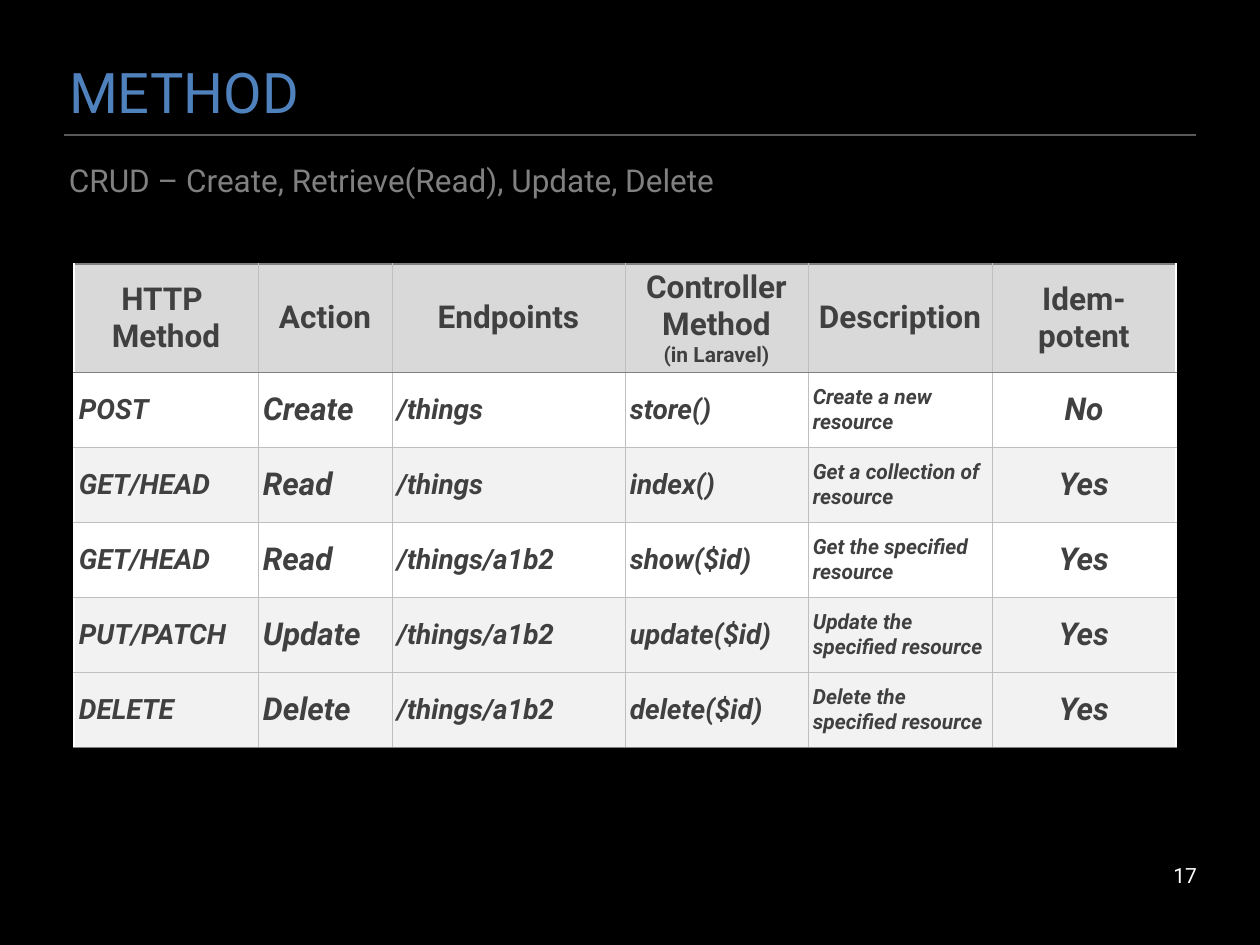
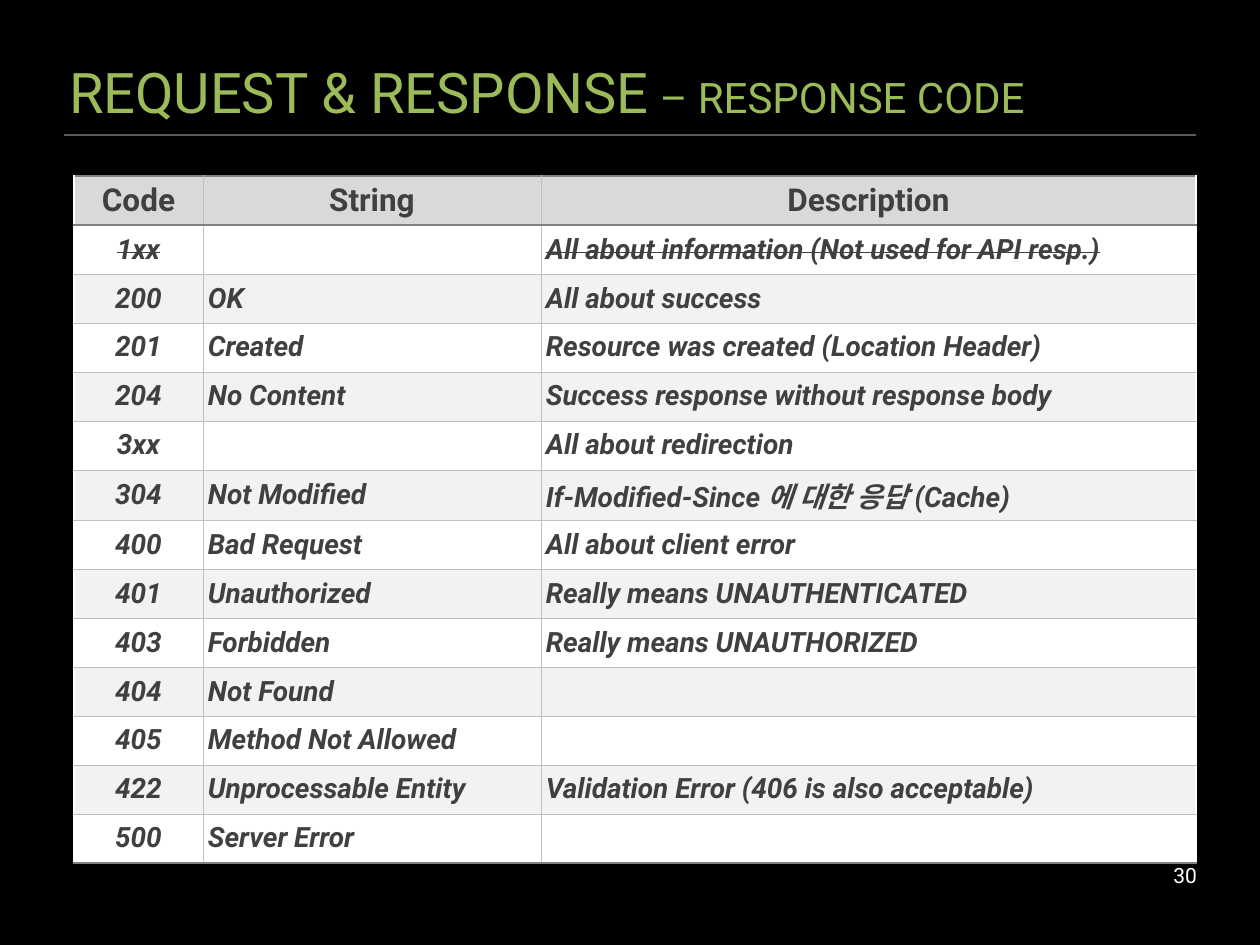
"""Build two slides about HTTP methods and response codes."""
from dataclasses import dataclass
from typing import Any, Collection, Optional, Sequence

from lxml import etree
from pptx import Presentation
from pptx import util as u
from pptx.dml.color import RGBColor
from pptx.enum import shapes, text
from pptx.oxml import ns

SCALE = u.Inches(1) / 126
LEFT, CENTER, RIGHT = text.PP_ALIGN.LEFT, text.PP_ALIGN.CENTER, text.PP_ALIGN.RIGHT


@dataclass(frozen=True)
class Theme:
    """Colours and type sizes shared by the slides."""

    font: str = "Roboto"
    background: str = "000000"
    blue: str = "4F81BD"
    green: str = "9BBB59"
    subtitle: str = "808080"
    rule: str = "595959"
    number: str = "FFFFFF"
    cell_text: str = "404040"
    header_fill: str = "D9D9D9"
    plain_fill: str = "FFFFFF"
    shaded_fill: str = "F2F2F2"
    grid: str = "BFBFBF"
    frame: str = "808080"
    side: str = "FFFFFF"
    title_size: int = 32
    title_detail_size: int = 24
    large: int = 18
    medium: int = 16
    small: int = 12


THEME = Theme()


@dataclass(frozen=True)
class Box:
    """A rectangle in pixels."""

    left: int
    top: int
    width: int
    height: int

    def emu(self) -> tuple[int, ...]:
        """Return the rectangle in EMU."""
        return tuple(map(px, (self.left, self.top, self.width, self.height)))


@dataclass(frozen=True)
class Column:
    """One table column: its heading, width and body format."""

    heading: str
    width: int
    size: int = THEME.medium
    align: Any = LEFT
    note: str = ""


@dataclass(frozen=True)
class TableData:
    """A table with its place, columns, rows and row accents."""

    left: int
    top: int
    header_height: int
    row_height: int
    columns: Sequence[Column]
    rows: Sequence[Sequence[str]]
    shaded: Collection[int]
    struck: Collection[int] = ()


TITLE_BOX = Box(63, 38, 1134, 107)
SUBTITLE_BOX = Box(63, 155, 1134, 82)
NUMBER_BOX = Box(903, 858, 294, 35)
RULE_LEFT, RULE_RIGHT, RULE_TOP = 64, 1196, 135
TEXT_INSET, CELL_INSET = 6, 5

METHODS = TableData(
    left=74, top=264, header_height=106, row_height=75,
    columns=(
        Column("HTTP \vMethod", 184),
        Column("Action", 134, THEME.large),
        Column("Endpoints", 233),
        Column("Controller Method", 183, note="(in Laravel)"),
        Column("Description", 184, THEME.small),
        Column("Idem-potent", 184, THEME.large, CENTER),
    ),
    rows=(
        ("POST", "Create", "/things", "store()", "Create a new resource", "No"),
        ("GET/HEAD", "Read", "/things", "index()", "Get a collection of resource", "Yes"),
        ("GET/HEAD", "Read", "/things/a1b2", "show($id)", "Get the specified resource", "Yes"),
        ("PUT/PATCH", "Update", "/things/a1b2", "update($id)", "Update the specified resource", "Yes"),
        ("DELETE", "Delete", "/things/a1b2", "delete($id)", "Delete the specified resource", "Yes"),
    ),
    shaded=(2, 4, 5),
)

CODES = TableData(
    left=74, top=176, header_height=49, row_height=49,
    columns=(
        Column("Code", 129, align=CENTER),
        Column("String", 338),
        Column("Description", 655),
    ),
    rows=(
        ("1xx", "", "All about information (Not used for API resp.)"),
        ("200", "OK", "All about success"),
        ("201", "Created", "Resource was created (Location Header)"),
        ("204", "No Content", "Success response without response body"),
        ("3xx", "", "All about redirection"),
        ("304", "Not Modified", "If-Modified-Since 에 대한 응답 (Cache)"),
        ("400", "Bad Request", "All about client error"),
        ("401", "Unauthorized", "Really means UNAUTHENTICATED"),
        ("403", "Forbidden", "Really means UNAUTHORIZED"),
        ("404", "Not Found", ""),
        ("405", "Method Not Allowed", ""),
        ("422", "Unprocessable Entity", "Validation Error (406 is also acceptable)"),
        ("500", "Server Error", ""),
    ),
    shaded=range(2, 14, 2),
    struck=(1,),
)


def px(length: int) -> int:
    """Turn pixels into EMU."""
    return round(length * SCALE)


def write(paragraph: Any, content: str, *, size: int, color: str, bold: bool = False,
          italic: bool = False, strike: bool = False, align: Any = LEFT) -> None:
    """Append formatted text to a paragraph, breaking lines at vertical tabs."""
    paragraph.alignment = align
    for index, line in enumerate(content.split("\v")):
        if index:
            paragraph.add_line_break()
        if not line:
            continue
        run = paragraph.add_run()
        run.text = line
        font = run.font
        font.name, font.size = THEME.font, u.Pt(size)
        font.bold, font.italic = bold, italic
        font.color.rgb = RGBColor.from_string(color)
        if strike:
            run._r.get_or_add_rPr().set("strike", "sngStrike")


def set_insets(target: Any, inset: int) -> None:
    """Give a text frame or cell the same inset on every side."""
    target.margin_left = target.margin_right = px(inset)
    target.margin_top = target.margin_bottom = px(inset)


def prepare_frame(shape: Any, inset: int, anchor: Any) -> Any:
    """Set up a shape's text frame and return its first paragraph."""
    frame = shape.text_frame
    frame.word_wrap = True
    frame.auto_size = text.MSO_AUTO_SIZE.NONE
    frame.vertical_anchor = anchor
    set_insets(frame, inset)
    return frame.paragraphs[0]


def add_text_box(slide: Any, box: Box, inset: int, anchor: Any) -> Any:
    """Add a text box and return its first paragraph."""
    return prepare_frame(slide.shapes.add_textbox(*box.emu()), inset, anchor)


def add_rule(slide: Any) -> None:
    """Draw the thin line under the title."""
    line = slide.shapes.add_connector(
        shapes.MSO_CONNECTOR.STRAIGHT,
        px(RULE_LEFT), px(RULE_TOP), px(RULE_RIGHT), px(RULE_TOP))
    line.line.color.rgb = RGBColor.from_string(THEME.rule)
    line.line.width = u.Pt(0.75)
    etree.SubElement(line._element.spPr, ns.qn("a:effectLst"))


def add_page(presentation: Any, title: str, color: str, number: int,
             detail: Optional[str] = None) -> Any:
    """Add a slide with its title, rule and page number."""
    slide = presentation.slides.add_slide(presentation.slide_layouts[5])
    add_rule(slide)
    shape = slide.shapes.title
    shape.left, shape.top, shape.width, shape.height = TITLE_BOX.emu()
    paragraph = prepare_frame(shape, TEXT_INSET, text.MSO_ANCHOR.MIDDLE)
    write(paragraph, title, size=THEME.title_size, color=color)
    if detail:
        write(paragraph, detail, size=THEME.title_detail_size, color=color)
    paragraph = add_text_box(slide, NUMBER_BOX, 0, text.MSO_ANCHOR.MIDDLE)
    write(paragraph, str(number), size=THEME.small, color=THEME.number, align=RIGHT)
    return slide


def set_borders(cell: Any, row: int, column: int, last_row: int, last_column: int) -> None:
    """Draw a fine inner grid, grey header and end lines, and white sides."""
    strong, fine, side = (THEME.frame, 1), (THEME.grid, 0.25), (THEME.side, 1)
    edges = {
        "L": side if column == 0 else fine,
        "R": side if column == last_column else fine,
        "T": strong if row <= 1 else fine,
        "B": strong if row in (0, last_row) else fine,
    }
    properties = cell._tc.get_or_add_tcPr()
    for index, (edge, (color, width)) in enumerate(edges.items()):
        line = etree.Element(ns.qn(f"a:ln{edge}"), w=str(u.Pt(width)))
        fill = etree.SubElement(line, ns.qn("a:solidFill"))
        etree.SubElement(fill, ns.qn("a:srgbClr"), val=color)
        properties.insert(index, line)


def format_cell(cell: Any, fill: str) -> Any:
    """Fill and align a cell and return its first paragraph."""
    cell.fill.solid()
    cell.fill.fore_color.rgb = RGBColor.from_string(fill)
    cell.vertical_anchor = text.MSO_ANCHOR.MIDDLE
    set_insets(cell, CELL_INSET)
    return cell.text_frame.paragraphs[0]


def write_heading(cell: Any, column: Column) -> None:
    """Write a column heading and its note."""
    style = dict(color=THEME.cell_text, bold=True, align=CENTER)
    paragraph = format_cell(cell, THEME.header_fill)
    write(paragraph, column.heading, size=THEME.large, **style)
    if column.note:
        write(cell.text_frame.add_paragraph(), column.note, size=THEME.small, **style)


def add_data_table(slide: Any, data: TableData) -> None:
    """Add a table with a heading row and shaded body rows."""
    last_row, last_column = len(data.rows), len(data.columns) - 1
    box = Box(data.left, data.top, sum(column.width for column in data.columns),
              data.header_height + last_row * data.row_height)
    table = slide.shapes.add_table(last_row + 1, last_column + 1, *box.emu()).table
    for row, table_row in enumerate(table.rows):
        table_row.height = px(data.row_height if row else data.header_height)
    for index, column in enumerate(data.columns):
        table.columns[index].width = px(column.width)
        write_heading(table.cell(0, index), column)
        for row, values in enumerate(data.rows, start=1):
            fill = THEME.shaded_fill if row in data.shaded else THEME.plain_fill
            write(format_cell(table.cell(row, index), fill), values[index],
                  size=column.size, color=THEME.cell_text, bold=True, italic=True,
                  strike=row in data.struck, align=column.align)
        for row in range(last_row + 1):
            set_borders(table.cell(row, index), row, index, last_row, last_column)


def main() -> None:
    """Build and save the presentation."""
    presentation = Presentation()
    presentation.slide_width, presentation.slide_height = px(1260), px(945)
    background = presentation.slide_master.background.fill
    background.solid()
    background.fore_color.rgb = RGBColor.from_string(THEME.background)

    methods = add_page(presentation, "METHOD", THEME.blue, 17)
    paragraph = add_text_box(methods, SUBTITLE_BOX, TEXT_INSET, text.MSO_ANCHOR.TOP)
    paragraph.space_before = u.Pt(4)
    write(paragraph, "CRUD – Create, Retrieve(Read), Update, Delete",
          size=THEME.large, color=THEME.subtitle)
    add_data_table(methods, METHODS)

    codes = add_page(presentation, "REQUEST & RESPONSE", THEME.green, 30,
                     detail=" – RESPONSE CODE")
    add_data_table(codes, CODES)
    presentation.save("out.pptx")


if __name__ == "__main__":
    main()
